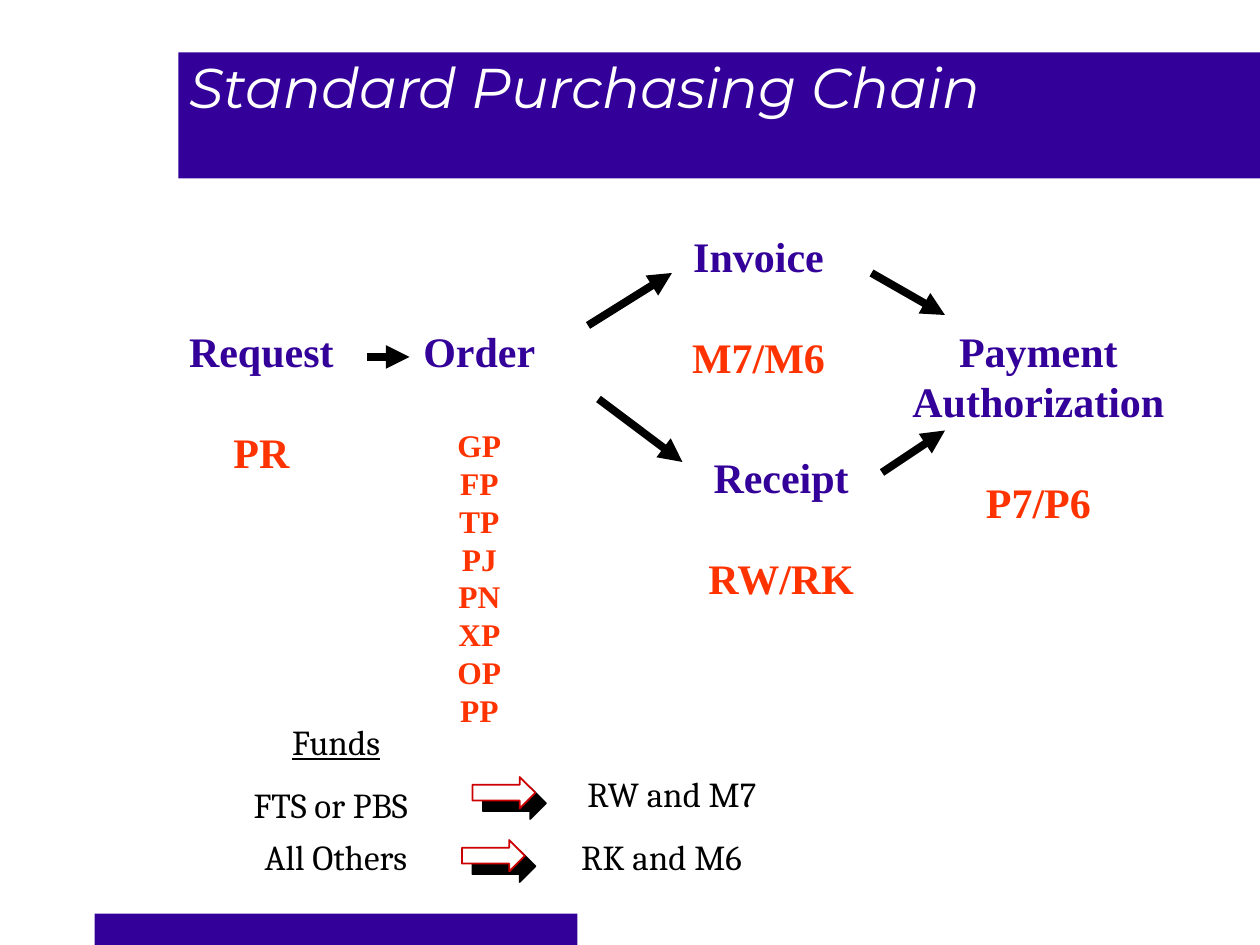
"""Build the Standard Purchasing Chain slide."""
from lxml import etree
from pptx import Presentation, util as u
from pptx.dml.color import RGBColor
from pptx.enum import shapes as kinds, text as t
from pptx.oxml import ns

PX = 7620
COLORS = {"purple": "330099", "orange": "FF3300", "red": "CC0000",
          "white": "FFFFFF", "black": "000000"}


def px(*lengths):
    """Turn pixel lengths into EMU."""
    return [u.Emu(length * PX) for length in lengths]


def rgb(name):
    """Look up a palette colour."""
    return RGBColor.from_string(COLORS[name])


def effects(shape, parent=None):
    """Give a shape its own empty effect list."""
    return etree.SubElement(shape.element.spPr, ns.qn("a:effectLst"))


def write(frame, words, first=False, font="Cambria", size=20, color="black", bold=False,
          italic=False, underline=False, align=t.PP_ALIGN.CENTER, leading=None, before=0):
    """Write one formatted paragraph into a text frame."""
    line = frame.paragraphs[0] if first else frame.add_paragraph()
    line.alignment = align
    line.space_before = u.Pt(before)
    if leading:
        line.line_spacing = u.Pt(leading)
    run = line.add_run()
    run.text = words
    run.font.name, run.font.size = font, u.Pt(size)
    run.font.bold, run.font.italic, run.font.underline = bold, italic, underline
    run.font.color.rgb = rgb(color)


def bar(slide, box):
    """Draw a plain purple bar."""
    band = slide.shapes.add_shape(kinds.MSO_SHAPE.RECTANGLE, *px(*box))
    band.shadow.inherit = False
    band.fill.solid()
    band.fill.fore_color.rgb = rgb("purple")
    band.line.fill.background()


def header(slide, box, words):
    """Draw the title band and set the title on it."""
    x, y, width, height = box
    bar(slide, box)
    title = slide.shapes.title
    title.left, title.top, title.width, title.height = px(x - 2, y - 10, width - 58, height + 30)
    slide.shapes.element.append(title.element)
    frame = title.text_frame
    frame.vertical_anchor = t.MSO_ANCHOR.TOP
    frame.margin_top = px(10)[0]
    write(frame, words, first=True, font="Montserrat", size=32, color="white",
          italic=True, align=t.PP_ALIGN.LEFT)


def stage(slide, box, names, codes, code_size=24):
    """Place one stage of the chain with its document codes."""
    frame = slide.shapes.add_textbox(*px(*box)).text_frame
    frame.word_wrap = False
    frame.margin_left = frame.margin_top = frame.margin_right = frame.margin_bottom = 0
    for index, name in enumerate(names):
        write(frame, name, first=index == 0, font="Times New Roman", size=24,
              color="purple", bold=True, leading=28.8)
    for index, code in enumerate(codes):
        write(frame, code, font="Times New Roman", size=code_size, color="orange", bold=True,
              leading=code_size * 1.2, before=0 if index else 28.8)


def flow(slide, start, end):
    """Draw a thick arrow between two stages."""
    arrow = slide.shapes.add_connector(kinds.MSO_CONNECTOR.STRAIGHT, *px(*start, *end))
    arrow.line.color.rgb = rgb("black")
    arrow.line.width = u.Pt(4.5)
    etree.SubElement(arrow.line._get_or_add_ln(), ns.qn("a:tailEnd"), type="triangle")
    effects(arrow)


def chain(slide, box):
    """Lay out the stages and the arrows that link them."""
    x, y = box[:2]
    stages = [
        ((0, 90, 138, 144), ["Request"], ["PR"], 24),
        ((223, 90, 107, 384), ["Order"],
         ["GP", "FP", "TP", "PJ", "PN", "XP", "OP", "PP"], 18),
        ((494, 210, 140, 144), ["Receipt"], ["RW/RK"], 24),
        ((479, 0, 127, 144), ["Invoice"], ["M7/M6"], 24),
        ((689, 90, 240, 192), ["Payment", "Authorization"], ["P7/P6"], 24),
    ]
    for (left, top, width, height), names, codes, size in stages:
        stage(slide, (x + left, y + top, width, height), names, codes, size)
    links = [((170, 120), (210, 120)), ((390, 160), (470, 220)), ((380, 90), (460, 40)),
             ((660, 230), (720, 190)), ((650, 40), (720, 80))]
    for (x1, y1), (x2, y2) in links:
        flow(slide, (x + x1, y + y1), (x + x2, y + y2))


def block_arrow(slide, box):
    """Draw a white block arrow with a hard black shadow."""
    arrow = slide.shapes.add_shape(kinds.MSO_SHAPE.RIGHT_ARROW, *px(*box))
    arrow.fill.solid()
    arrow.fill.fore_color.rgb = rgb("white")
    arrow.line.color.rgb = rgb("red")
    arrow.line.width = u.Pt(1)
    shadow = etree.SubElement(effects(arrow), ns.qn("a:outerShdw"), dist=str(u.Pt(8.5)),
                              dir="2700000", algn="ctr", rotWithShape="0")
    etree.SubElement(shadow, ns.qn("a:srgbClr"), val=COLORS["black"])


def funds_key(slide, box):
    """List which codes each fund uses."""
    x, y = box[:2]
    entries = [("Funds", 0, 0, 500, True), ("FTS or PBS", 60, 60, 370, False),
               ("All Others", 150, 110, 200, False), ("RW and M7", 450, 50, 240, False),
               ("RK and M6", 450, 110, 220, False)]
    for words, left, top, width, underline in entries:
        frame = slide.shapes.add_textbox(*px(x + left, y + top, width, 53)).text_frame
        frame.word_wrap = True
        write(frame, words, first=True, underline=underline)
    for left, top in [(380, 60), (370, 120)]:
        block_arrow(slide, (x + left, y + top, 60, 30))


def main():
    """Build and save the slide."""
    deck = Presentation()
    deck.slide_width, deck.slide_height = px(1200, 900)
    slide = deck.slides.add_slide(deck.slide_layouts[5])
    bar(slide, (90, 870, 460, 30))
    header(slide, (170, 50, 1030, 120), "Standard Purchasing Chain")
    chain(slide, (180, 220, 929, 474))
    funds_key(slide, (70, 680, 690, 163))
    deck.save("out.pptx")


if __name__ == "__main__":
    main()
